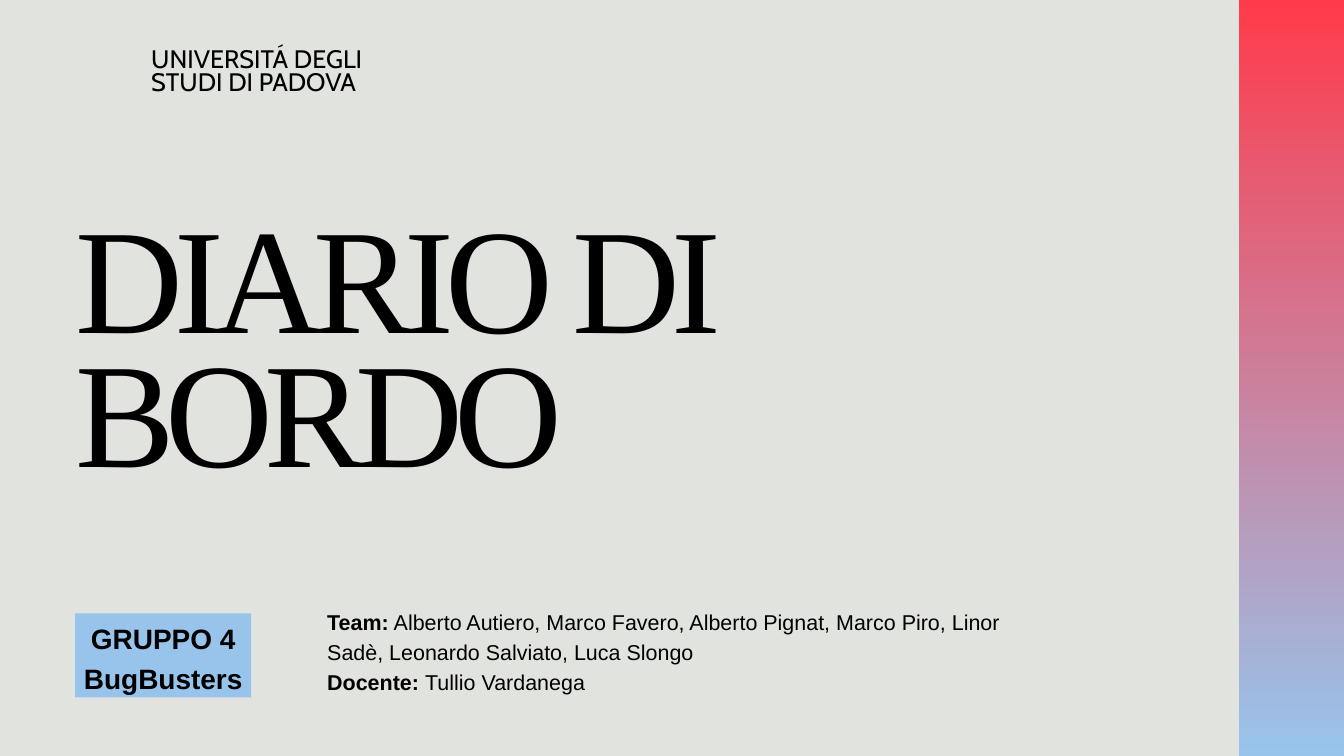
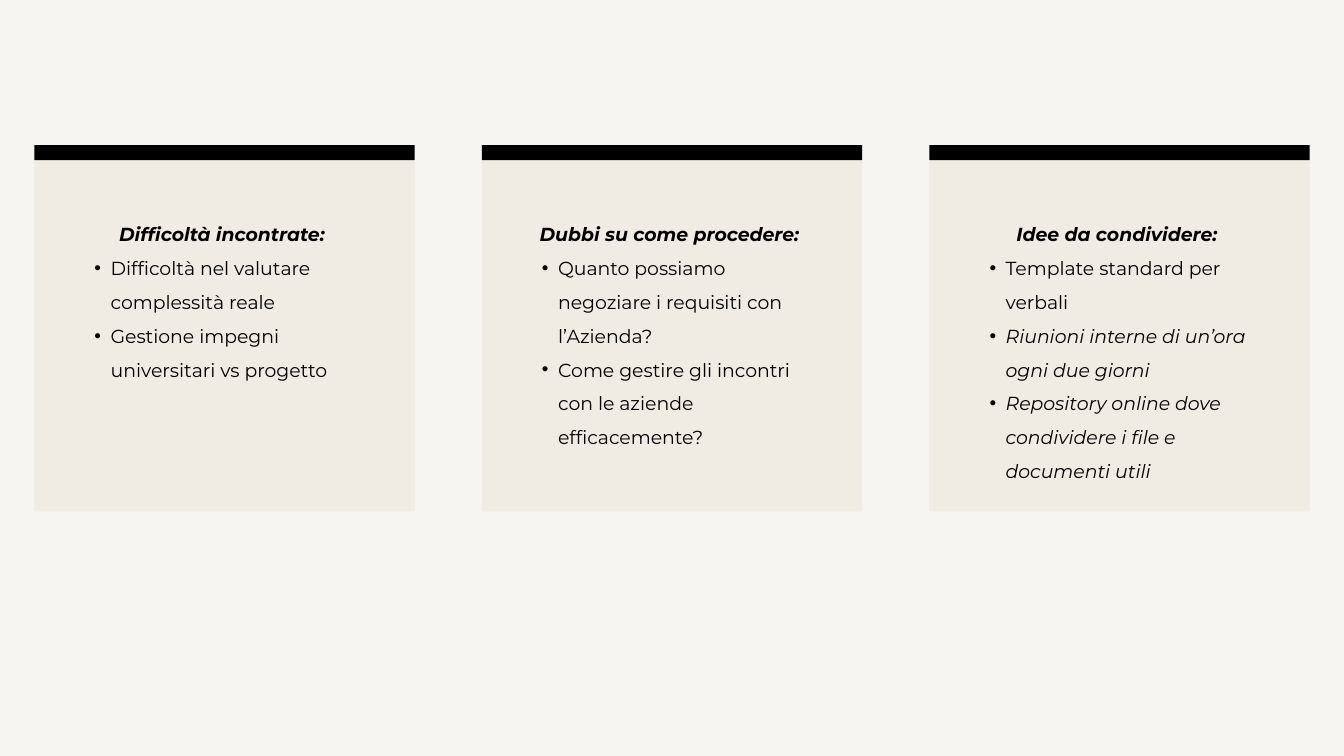
from dataclasses import dataclass

from lxml import etree
from pptx import Presentation
from pptx.dml.color import RGBColor
from pptx.enum.shapes import MSO_SHAPE
from pptx.enum.text import MSO_ANCHOR, MSO_AUTO_SIZE, PP_ALIGN
from pptx.oxml.ns import qn
from pptx.util import Pt

RECTANGLE = MSO_SHAPE.RECTANGLE
CENTER, LEFT = PP_ALIGN.CENTER, PP_ALIGN.LEFT
TOP, MIDDLE = MSO_ANCHOR.TOP, MSO_ANCHOR.MIDDLE
NO_AUTOFIT = MSO_AUTO_SIZE.NONE


@dataclass(frozen=True)
class Theme:
    cover: RGBColor = RGBColor.from_string("E1E3DE")
    paper: RGBColor = RGBColor.from_string("F6F5F2")
    card: RGBColor = RGBColor.from_string("F0EBE3")
    ink: RGBColor = RGBColor.from_string("000000")
    red: RGBColor = RGBColor.from_string("FF3B4B")
    blue: RGBColor = RGBColor.from_string("98C4EC")
    title_font: str = "Times New Roman"
    cover_font: str = "Arial"
    university_font: str = "Cabin"
    card_font: str = "Montserrat"
    title_size: float = 160
    group_size: float = 30
    university_size: float = 27.1
    credits_size: float = 23
    card_size: float = 20.2


theme = Theme()


def add_block(slide, left, top, width, height, color):
    block = slide.shapes.add_shape(RECTANGLE, Pt(left), Pt(top), Pt(width), Pt(height))
    block.shadow.inherit = False
    block.line.fill.background()
    block.fill.solid()
    block.fill.fore_color.rgb = color
    return block


def write(frame, paragraphs, font, size, spacing, align=LEFT, anchor=TOP, inset=0):
    frame.word_wrap = True
    frame.auto_size = NO_AUTOFIT
    frame.vertical_anchor = anchor
    frame.margin_left = frame.margin_right = Pt(inset)
    frame.margin_top = frame.margin_bottom = Pt(inset)
    for number, pieces in enumerate(paragraphs):
        paragraph = frame.add_paragraph() if number else frame.paragraphs[0]
        paragraph.alignment = align
        paragraph.line_spacing = spacing
        for words, bold, italic in pieces:
            run = paragraph.add_run()
            run.text = words
            run.font.name = font
            run.font.size = Pt(size)
            run.font.bold = bold
            run.font.italic = italic
            run.font.color.rgb = theme.ink


deck = Presentation()
deck.slide_width, deck.slide_height = Pt(1440), Pt(810)

cover = deck.slides.add_slide(deck.slide_layouts[5])
cover.background.fill.solid()
cover.background.fill.fore_color.rgb = theme.cover

group_label = add_block(cover, 80.6, 657.2, 188.6, 90, theme.blue)
write(group_label.text_frame,
      [[("GRUPPO 4", True, False)], [("BugBusters", True, False)]],
      theme.cover_font, theme.group_size, Pt(42), CENTER, MIDDLE, 4.3)

side_band = add_block(cover, 1327, 0, 113, 810, theme.red)
side_band.fill.gradient()
side_band.fill.gradient_angle = 270
for stop, color in zip(side_band.fill.gradient_stops, (theme.red, theme.blue)):
    stop.color.rgb = color

title = cover.shapes.title
title.left, title.top, title.width, title.height = Pt(80.6), Pt(244.8), Pt(1155), Pt(322.6)
write(title.text_frame, [[("DIARIO DI BORDO", False, False)]],
      theme.title_font, theme.title_size, Pt(144))
title.text_frame.paragraphs[0].runs[0].font._element.set("spc", "-960")

university = cover.shapes.add_textbox(Pt(162), Pt(54), Pt(257.8), Pt(75))
write(university.text_frame, [[("UNIVERSITÁ DEGLI STUDI DI PADOVA", False, False)]],
      theme.university_font, theme.university_size, Pt(24.7))

team = (" Alberto Autiero, Marco Favero, Alberto Pignat, Marco Piro, "
        "Linor Sadè, Leonardo Salviato, Luca Slongo")
team_credits = cover.shapes.add_textbox(Pt(350.6), Pt(648), Pt(738.7), Pt(93.6))
write(team_credits.text_frame,
      [[("Team:", True, False), (team, False, False)],
       [("Docente: ", True, False), ("Tullio Vardanega", False, False)]],
      theme.cover_font, theme.credits_size, Pt(32.2))

review = deck.slides.add_slide(deck.slide_layouts[6])
review.background.fill.solid()
review.background.fill.fore_color.rgb = theme.paper

topics = [
    ("Difficoltà incontrate: ", [
        ("Difficoltà nel valutare complessità reale", False),
        ("Gestione impegni universitari vs progetto", False)]),
    ("Dubbi su come procedere: ", [
        ("Quanto possiamo negoziare i requisiti con l’Azienda?", False),
        ("Come gestire gli incontri con le aziende efficacemente?", False)]),
    ("Idee da condividere: ", [
        ("Template standard per verbali", False),
        ("Riunioni interne di un’ora ogni due giorni", True),
        ("Repository online dove condividere i file e documenti utili", True)]),
]
card_width, card_gap, card_top = 407.5, 72, 155.5
first_card = (1440 - 3 * card_width - 2 * card_gap) / 2

for column, (heading, points) in enumerate(topics):
    card_left = first_card + column * (card_width + card_gap)
    add_block(review, card_left, card_top, card_width, 392.4, theme.card)
    add_block(review, card_left, card_top, card_width, 16, theme.ink)

    topic = review.shapes.add_textbox(Pt(card_left + 47.2), Pt(226), Pt(313.2), Pt(290))
    write(topic.text_frame,
          [[(heading, True, True)]] + [[(point, False, italic)] for point, italic in points],
          theme.card_font, theme.card_size, 1.5)
    topic_heading, *bullets = topic.text_frame.paragraphs
    topic_heading.alignment = CENTER
    for bullet in bullets:
        bullet.level = 1
        properties = bullet._p.get_or_add_pPr()
        properties.set("marL", str(Pt(34.56)))
        properties.set("indent", str(Pt(-17.28)))
        etree.SubElement(properties, qn("a:buFont"), typeface="Arial")
        etree.SubElement(properties, qn("a:buChar"), char="•")

deck.save("out.pptx")
